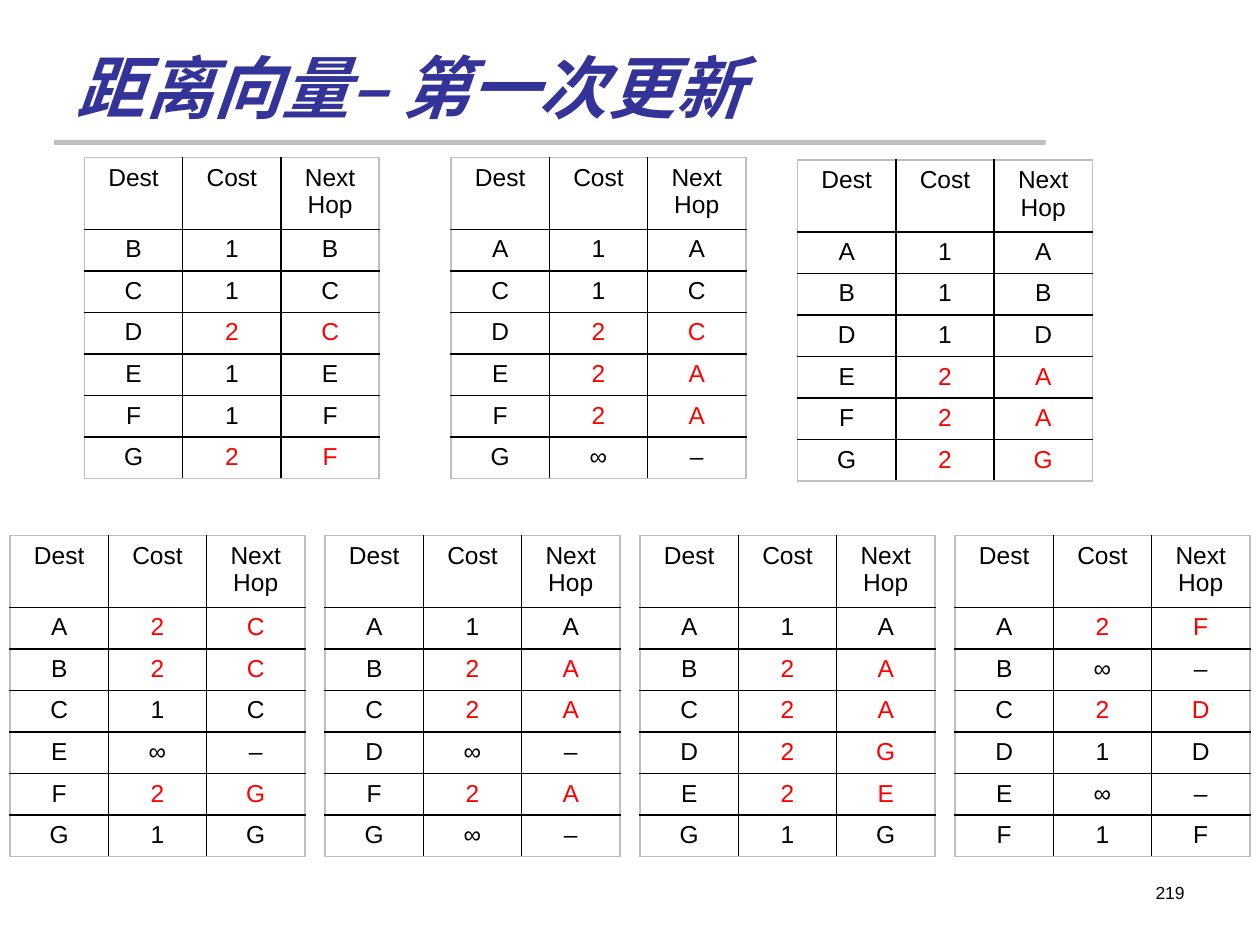
from pptx import Presentation
from pptx.dml.color import RGBColor
from pptx.enum.shapes import MSO_SHAPE
from pptx.enum.text import MSO_ANCHOR, PP_ALIGN
from pptx.oxml import parse_xml
from pptx.oxml.ns import nsdecls
from pptx.util import Inches, Pt

COLORS = {"title": "333399", "text": "000000", "updated": "FF0000",
          "grid": "000000", "edge": "BFBFBF", "rule": "BFBFBF"}
HEADER = ("Dest", "Cost", "Next Hop")
COLUMN_WIDTH, HEADER_HEIGHT, ROW_HEIGHT = 0.78, 0.57, 0.33
UPPER_TOP, LOWER_TOP = 1.25, 4.25
LOWER_LEFT, LOWER_STEP = 0.08, 2.5

upper_tables = [
    (0.67, UPPER_TOP, "B1B C1C D2C E1E F1F G2F"),
    (3.58, UPPER_TOP, "A1A C1C D2C E2A F2A G∞–"),
    (6.33, UPPER_TOP + 0.02, "A1A B1B D1D E2A F2A G2G"),
]
lower_routes = [
    "A2C B2C C1C E∞– F2G G1G",
    "A1A B2A C2A D∞– F2A G∞–",
    "A1A B2A C2A D2G E2E G1G",
    "A2F B∞– C2D D1D E∞– F1F",
]
lower_tables = [(LOWER_LEFT + i * LOWER_STEP, LOWER_TOP, routes)
                for i, routes in enumerate(lower_routes)]


def style_text(para, font_name, size, color, align):
    para.alignment = align
    for span in para.runs:
        span.font.name = font_name
        span.font.size = Pt(size)
        span.font.color.rgb = RGBColor.from_string(COLORS[color])


def add_border(cell, side, color):
    cell._tc.get_or_add_tcPr().append(parse_xml(
        f'<a:ln{side} {nsdecls("a")} w="12700"><a:solidFill>'
        f'<a:srgbClr val="{COLORS[color]}"/></a:solidFill></a:ln{side}>'))


deck = Presentation()
deck.slide_width, deck.slide_height = Inches(10), Inches(7.5)
page = deck.slides.add_slide(deck.slide_layouts[5])

rule = page.shapes.add_shape(MSO_SHAPE.RECTANGLE, Inches(0.43), Inches(1.11),
                             Inches(7.87), Inches(0.04))
rule.shadow.inherit = False
rule.fill.solid()
rule.fill.fore_color.rgb = RGBColor.from_string(COLORS["rule"])
rule.line.fill.background()

title = page.shapes.title
title.left, title.top = Inches(0.51), Inches(0.28)
title.width, title.height = Inches(8.25), Inches(0.78)
title.text_frame.text = "距离向量– 第一次更新"
title.text_frame.vertical_anchor = MSO_ANCHOR.BOTTOM
heading = title.text_frame.paragraphs[0]
style_text(heading, "Calibri", 39, "title", PP_ALIGN.LEFT)
heading.runs[0].font.bold = True
heading.runs[0].font.italic = True

for left, top, routes in upper_tables + lower_tables:
    rows = [HEADER] + [tuple(route) for route in routes.split()]
    last_row, last_column = len(rows) - 1, len(HEADER) - 1
    frame = page.shapes.add_table(
        len(rows), len(HEADER), Inches(left), Inches(top),
        Inches(COLUMN_WIDTH * len(HEADER)),
        Inches(HEADER_HEIGHT + ROW_HEIGHT * last_row))
    table = frame.table
    table.first_row = False
    table.horz_banding = False
    for column in table.columns:
        column.width = Inches(COLUMN_WIDTH)
    for r, values in enumerate(rows):
        table.rows[r].height = Inches(ROW_HEIGHT if r else HEADER_HEIGHT)
        for c, value in enumerate(values):
            cell = table.cell(r, c)
            cell.text_frame.text = value
            updated = c > 0 and values[1] == "2"
            style_text(cell.text_frame.paragraphs[0], "Arial", 14,
                       "updated" if updated else "text", PP_ALIGN.CENTER)
            outer_sides = (("L", c == 0), ("R", c == last_column),
                           ("T", r == 0), ("B", r == last_row))
            for side, outer in outer_sides:
                add_border(cell, side, "edge" if outer else "grid")
            cell.fill.background()

number_box = page.shapes.add_textbox(Inches(7.17), Inches(6.95),
                                     Inches(2.33), Inches(0.4))
number_box.text_frame.word_wrap = True
number_box.text_frame.text = "219"
style_text(number_box.text_frame.paragraphs[0], "Arial", 10, "text",
           PP_ALIGN.RIGHT)

deck.save("out.pptx")
